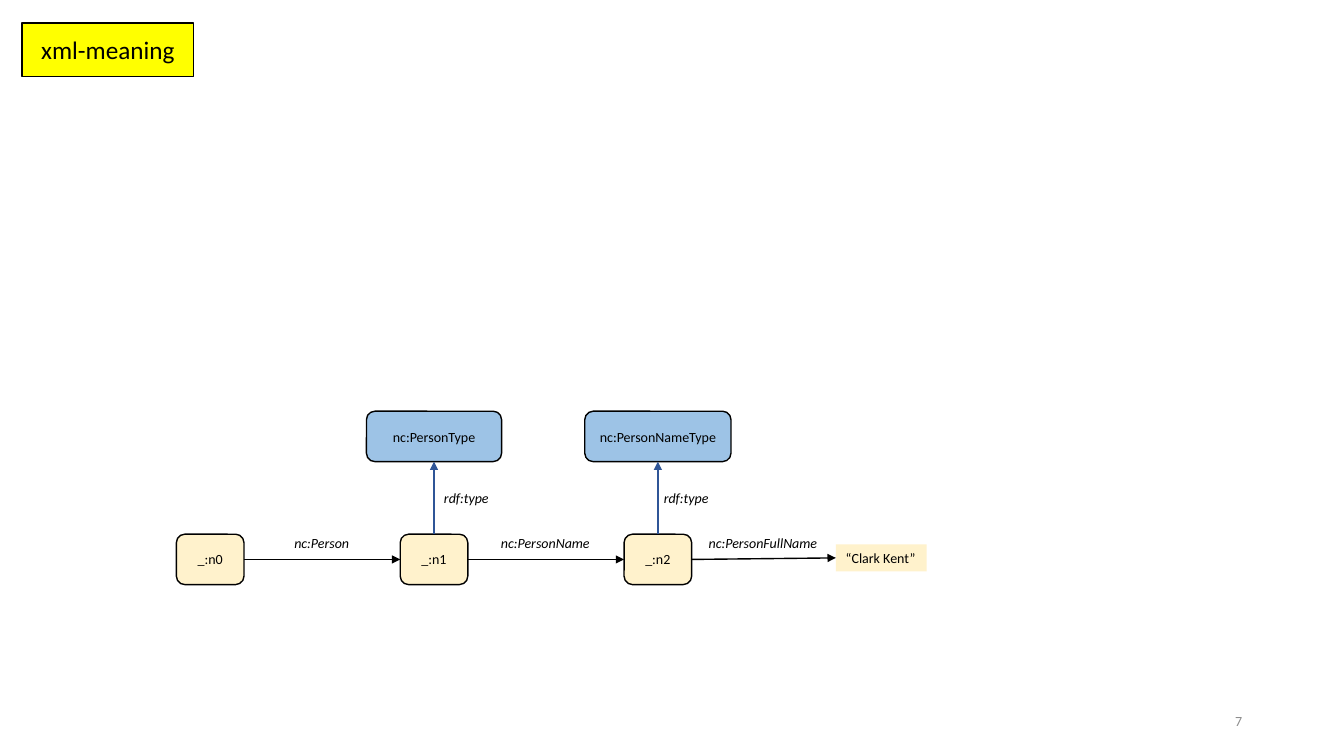
"""Build the xml-meaning slide: an RDF graph of blank nodes, types and a literal."""
from pptx import Presentation
from pptx.dml.color import RGBColor
from pptx.enum.shapes import MSO_CONNECTOR, MSO_SHAPE
from pptx.enum.text import MSO_ANCHOR, MSO_AUTO_SIZE, PP_ALIGN
from pptx.oxml.ns import qn
from pptx.util import Inches, Pt
from lxml import etree

TITLE, PAGE = "xml-meaning", "7"
NODES = ["_:n0", "_:n1", "_:n2"]
TYPES = [(1, "nc:PersonType", 1.34, 0), (2, "nc:PersonNameType", 1.45, -0.04)]
TYPE_LABEL = "rdf:type"
PROPERTIES = [("nc:Person", 0.75), ("nc:PersonName", 1.09), ("nc:PersonFullName", 1.29)]
LITERAL = "“Clark Kent”"

FONT = "Calibri"
BLACK = RGBColor(0, 0, 0)
GREY = RGBColor(0x8C, 0x8C, 0x8C)
YELLOW = RGBColor(0xFF, 0xFF, 0)
CREAM = RGBColor(0xFF, 0xF2, 0xCC)
SKY = RGBColor(0x9D, 0xC3, 0xE6)
NAVY = RGBColor(0x2F, 0x55, 0x97)

STRAIGHT = MSO_CONNECTOR.STRAIGHT
RECT, ROUNDED = MSO_SHAPE.RECTANGLE, MSO_SHAPE.ROUNDED_RECTANGLE
LEFT, CENTER, RIGHT = PP_ALIGN.LEFT, PP_ALIGN.CENTER, PP_ALIGN.RIGHT
TOP, MIDDLE = MSO_ANCHOR.TOP, MSO_ANCHOR.MIDDLE
NO_FIT, GROW = MSO_AUTO_SIZE.NONE, MSO_AUTO_SIZE.SHAPE_TO_FIT_TEXT
SITE_TOP, SITE_LEFT, SITE_BOTTOM, SITE_RIGHT = range(4)

NODE_X, NODE_Y, NODE_W, NODE_H, PITCH = 1.75, 5.3, 0.67, 0.5, 2.22
TYPE_Y, TYPE_LABEL_Y, TYPE_LABEL_W = 4.08, 4.81, 0.65
LABEL_Y, LABEL_H = 5.25, 0.27
LITERAL_X, LITERAL_Y, LITERAL_W = 8.29, 5.4, 0.9


def write(shape, text, size=10, color=BLACK, align=CENTER, anchor=MIDDLE,
          italic=False, wrap=True):
    tf = shape.text_frame
    tf.word_wrap = wrap
    tf.auto_size = NO_FIT if wrap else GROW
    tf.vertical_anchor = anchor
    p = tf.paragraphs[0]
    p.alignment = align
    r = p.add_run()
    r.text = text
    r.font.name, r.font.size = FONT, Pt(size)
    r.font.italic = italic
    r.font.color.rgb = color


def paint(shape, fill, outlined=True):
    shape.fill.solid()
    shape.fill.fore_color.rgb = fill
    if outlined:
        shape.line.color.rgb = BLACK
        shape.line.width = Pt(1)
    else:
        shape.line.fill.background()


def add_box(s, kind, x, y, w, h, fill, outlined=True):
    sp = s.shapes.add_shape(kind, Inches(x), Inches(y), Inches(w), Inches(h))
    sp.shadow.inherit = False
    paint(sp, fill, outlined)
    return sp


def add_label(s, text, x, y, w):
    sp = s.shapes.add_textbox(Inches(x), Inches(y), Inches(w), Inches(LABEL_H))
    write(sp, text, align=LEFT, anchor=TOP, italic=True, wrap=False)


def add_arrow(s, start, start_site, end, end_site, color, width):
    line = s.shapes.add_connector(STRAIGHT, 0, 0, 0, 0)
    line.begin_connect(start, start_site)
    line.end_connect(end, end_site)
    line.line.color.rgb = color
    line.line.width = Pt(width)
    etree.SubElement(line.line._get_or_add_ln(), qn("a:tailEnd"), type="triangle")
    etree.SubElement(line._element.spPr, qn("a:effectLst"))


def main():
    prs = Presentation()
    prs.slide_width, prs.slide_height = Inches(13.33), Inches(7.5)
    s = prs.slides.add_slide(prs.slide_layouts[5])

    title = s.shapes.title
    title.left, title.top = Inches(0.22), Inches(0.23)
    title.width, title.height = Inches(1.7), Inches(0.53)
    paint(title, YELLOW)
    write(title, TITLE, size=18)

    chain = []
    for i, name in enumerate(NODES):
        node = add_box(s, ROUNDED, NODE_X + i * PITCH, NODE_Y, NODE_W, NODE_H, CREAM)
        write(node, name)
        chain.append(node)
    literal = add_box(s, RECT, LITERAL_X, LITERAL_Y, LITERAL_W, LABEL_H, CREAM, False)
    write(literal, LITERAL, align=LEFT, anchor=TOP, wrap=False)
    chain.append(literal)

    for i, name, w, shift in TYPES:
        center = NODE_X + i * PITCH + NODE_W / 2
        box = add_box(s, ROUNDED, center - w / 2, TYPE_Y, w, NODE_H, SKY)
        write(box, name)
        add_arrow(s, chain[i], SITE_TOP, box, SITE_BOTTOM, NAVY, 1.75)
        add_label(s, TYPE_LABEL, center + shift, TYPE_LABEL_Y, TYPE_LABEL_W)

    for start, end, (name, w) in zip(chain, chain[1:], PROPERTIES):
        add_arrow(s, start, SITE_RIGHT, end, SITE_LEFT, BLACK, 1)
        middle = (start.left + start.width + end.left) / 2 / Inches(1)
        add_label(s, name, middle - w / 2, LABEL_Y, w)

    page = s.shapes.add_textbox(Inches(9.42), Inches(6.95), Inches(3), Inches(0.4))
    write(page, PAGE, color=GREY, align=RIGHT)

    prs.save("out.pptx")


if __name__ == "__main__":
    main()
